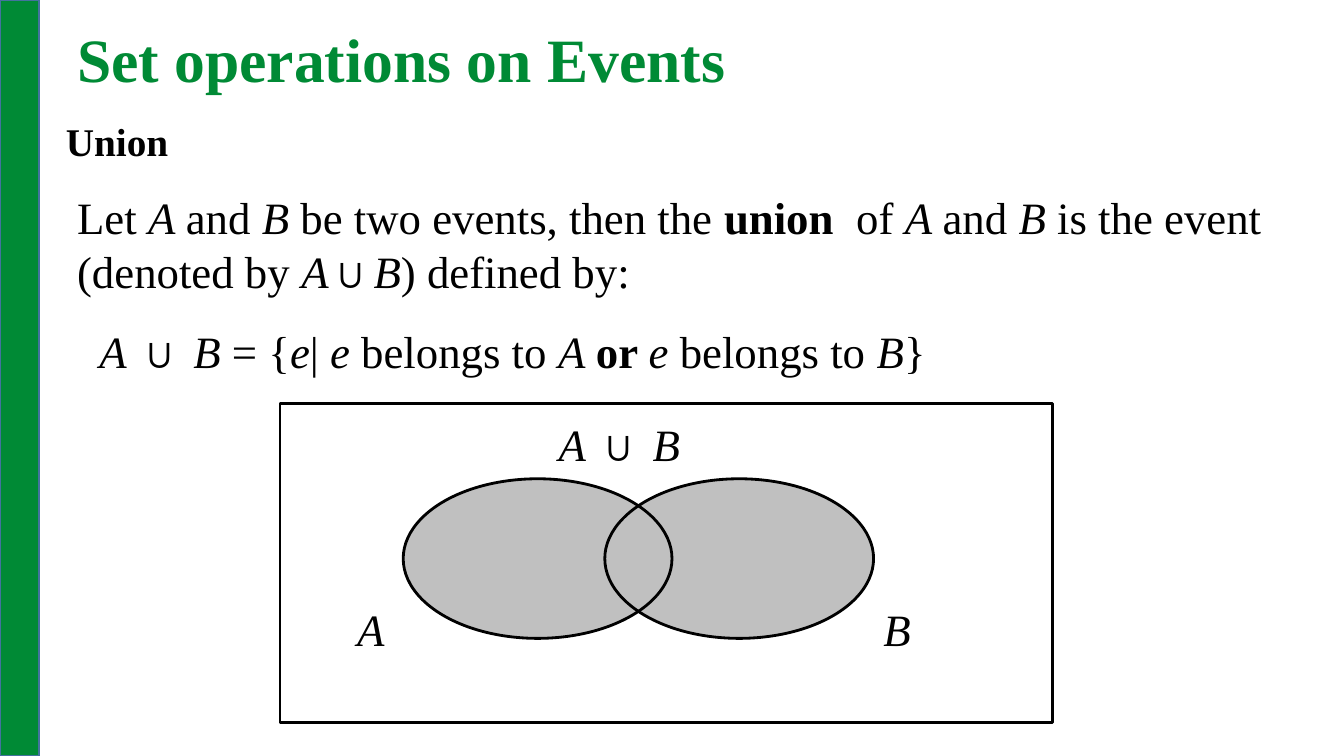
from pptx import Presentation
from pptx.dml.color import RGBColor
from pptx.enum.shapes import MSO_SHAPE as Shape
from pptx.enum.text import MSO_ANCHOR as Anchor
from pptx.util import Pt

GREEN, BLACK, GREY, BLUE = "008A35", "000000", "C0C0C0", "43739E"
ITALIC, BOLD = {"italic": True}, {"bold": True}
BODY = {"name": "Times New Roman", "size": Pt(32)}
PARAGRAPH = {"space_before": Pt(3.6)}
UNION = [("A ", ITALIC), ("∪ ", {}), ("B", ITALIC)]


def color(hex_code):
    return RGBColor.from_string(hex_code)


def set_all(target, values):
    for key, value in values.items():
        setattr(target, key, value)


def add_figure(slide, kind, box, fill=None, line=None, weight=2):
    figure = slide.shapes.add_shape(kind, *map(Pt, box))
    figure.shadow.inherit = False
    for paint, hex_code in ((figure.fill, fill), (figure.line.fill, line)):
        if hex_code:
            paint.solid()
            paint.fore_color.rgb = color(hex_code)
        else:
            paint.background()
    if line:
        figure.line.width = Pt(weight)


def add_text(slide, box, runs, font=BODY, hex_code=BLACK,
             paragraph=PARAGRAPH, anchor=Anchor.TOP):
    frame = slide.shapes.add_textbox(*map(Pt, box)).text_frame
    set_all(frame, {"word_wrap": True, "vertical_anchor": anchor})
    line = frame.paragraphs[0]
    set_all(line, paragraph)
    for words, style in runs:
        run = line.add_run()
        run.text = words
        set_all(run.font, {**font, **style})
        run.font.color.rgb = color(hex_code)


def add_headings(slide, left, top):
    # Title and subtitle
    add_text(slide, (left, top, 864, 90), [("Set operations on Events", BOLD)],
             {**BODY, "size": Pt(44)}, GREEN, {"line_spacing": 0.9}, Anchor.MIDDLE)
    add_text(slide, (left - 8, top + 84, 144, 42), [("Union", BOLD)],
             {**BODY, "size": Pt(28)},
             paragraph={"line_spacing": 0.9, "space_before": Pt(2.5)})


def add_definition(slide, left, top):
    # Sentence
    add_text(slide, (left, top, 880, 84), [
        ("Let ", {}), ("A ", ITALIC), ("and ", {}), ("B ", ITALIC),
        ("be two events, then the ", {}), ("union ", BOLD), (" of ", {}),
        ("A ", ITALIC), ("and ", {}), ("B ", ITALIC),
        ("is the event (denoted by ", {}), ("A", ITALIC), ("∪", {}),
        ("B", ITALIC), (") defined by:", {})])
    # Formula
    add_text(slide, (left + 16, top + 96, 808, 54), UNION + [
        (" = {", {}), ("e", ITALIC), ("| ", {}), ("e ", ITALIC),
        ("belongs to ", {}), ("A ", ITALIC), ("or ", BOLD), ("e ", ITALIC),
        ("belongs to ", {}), ("B", ITALIC), ("}", {})])


def add_venn(slide, left, top, width, height):
    event_a, event_b = [(left + dx, top + 54, 192, 114) for dx in (88, 232)]
    # Shaded union, then sample space and event outlines
    for event in (event_b, event_a):
        add_figure(slide, Shape.OVAL, event, fill=GREY)
    add_figure(slide, Shape.RECTANGLE, (left, top, width, height), line=BLACK)
    for event in (event_a, event_b):
        add_figure(slide, Shape.OVAL, event, line=BLACK)
    # Labels
    add_text(slide, (left + 192, top + 6, 128, 42), UNION)
    for letter, dx in (("A", 48), ("B", 424)):
        add_text(slide, (left + dx, top + 138, 48, 42), [(letter, ITALIC)])


def main():
    deck = Presentation()
    set_all(deck, {"slide_width": Pt(960), "slide_height": Pt(540)})
    slide = deck.slides.add_slide(deck.slide_layouts[6])
    # Side bar
    add_figure(slide, Shape.RECTANGLE, (0, 0, 28, 540), GREEN, BLUE, 1)
    add_headings(slide, 48, 0)
    add_definition(slide, 48, 132)
    add_venn(slide, 200, 288, 552, 228)
    deck.save("out.pptx")


if __name__ == "__main__":
    main()
